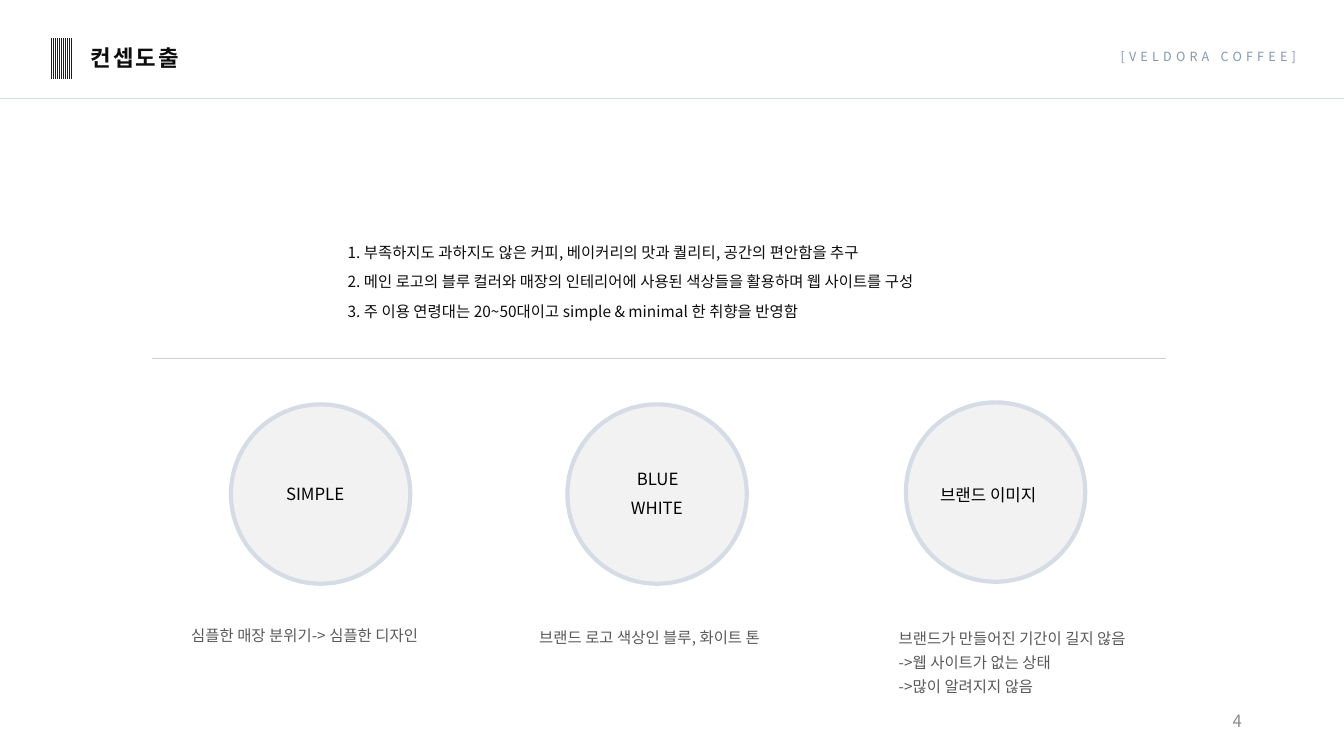
import pptx
import pptx.dml.color
import pptx.enum.dml
import pptx.enum.shapes
import pptx.enum.text
import pptx.oxml
import pptx.util

Cm = pptx.util.Cm
Pt = pptx.util.Pt
RGBColor = pptx.dml.color.RGBColor
PP_ALIGN = pptx.enum.text.PP_ALIGN
MSO_SHAPE = pptx.enum.shapes.MSO_SHAPE

WHITE = RGBColor(0xFF, 0xFF, 0xFF)
BLACK = RGBColor(0, 0, 0)
INK = RGBColor(0x0D, 0x0D, 0x0D)
GREY = RGBColor(0x59, 0x59, 0x59)
PAGE_GREY = RGBColor(0x8C, 0x8C, 0x8C)
NAVY = RGBColor(0x00, 0x20, 0x60)
BRAND_BLUE = RGBColor(0x84, 0x97, 0xB0)
PALE_BLUE = RGBColor(0xD6, 0xDC, 0xE5)
PALE_GREY = RGBColor(0xF2, 0xF2, 0xF2)
RULE_GREY = RGBColor(0xD0, 0xCE, 0xCE)

FONT = "Noto Sans CJK KR"
DIAMETER = 4.52

GOALS = (
    "1. 부족하지도 과하지도 않은 커피, 베이커리의 맛과 퀄리티, 공간의 편안함을 추구\n"
    "2. 메인 로고의 블루 컬러와 매장의 인테리어에 사용된 색상들을 활용하며 웹 사이트를 구성\n"
    "3. 주 이용 연령대는 20~50대이고 simple & minimal 한 취향을 반영함"
)
CIRCLES = [(5.82, 10.19), (14.3, 10.19), (22.83, 10.14)]
KEYWORDS = [
    ("SIMPLE", (6.96, 12.07, 2.34, 0.77)),
    ("BLUE", (15.8, 11.68, 1.65, 0.77)),
    ("WHITE", (15.65, 12.42, 2.01, 0.77)),
    ("브랜드 이미지", (23.44, 12.09, 3.38, 0.77)),
]
CAPTIONS = [
    ("심플한 매장 분위기-> 심플한 디자인", (4.57, 15.6, 7.11, 0.79), 1.14),
    ("브랜드 로고 색상인 블루, 화이트 톤", (13.34, 15.65, 6.81, 0.79), 1.14),
    ("브랜드가 만들어진 기간이 길지 않음\n->웹 사이트가 없는 상태\n->많이 알려지지 않음",
     (22.4, 15.6, 7.21, 2.01), 1.3),
]


def add_rule(slide, left, right, y, color):
    """Draw a thin horizontal line."""
    rule = slide.shapes.add_connector(
        pptx.enum.shapes.MSO_CONNECTOR.STRAIGHT, Cm(left), Cm(y), Cm(right), Cm(y))
    rule.line.color.rgb = color
    rule.line.width = Pt(0.5)
    rule._element.spPr.append(pptx.oxml.parse_xml(
        '<a:effectLst xmlns:a="http://schemas.openxmlformats.org/drawingml/2006/main"/>'))


def add_text(slide, text, box, size, color, font=FONT, align=None,
             leading=None, spacing=None, bold=None, wrap=True):
    """Add a text box with one paragraph per line of text."""
    frame = slide.shapes.add_textbox(*map(Cm, box)).text_frame
    frame.word_wrap = wrap
    frame.text = text
    for paragraph in frame.paragraphs:
        paragraph.alignment = align
        paragraph.line_spacing = leading
        for run in paragraph.runs:
            run.font.size = Pt(size)
            run.font.bold = bold
            run.font.color.rgb = color
            run.font.name = font
            properties = run._r.get_or_add_rPr()
            east_asian = properties.makeelement(pptx.oxml.ns.qn("a:ea"), {"typeface": FONT})
            properties.append(east_asian)
            if spacing:
                properties.set("spc", str(int(spacing * 100)))
    return frame


def add_circle(slide, left, top):
    """Draw one keyword circle."""
    circle = slide.shapes.add_shape(
        MSO_SHAPE.OVAL, Cm(left), Cm(top), Cm(DIAMETER), Cm(DIAMETER))
    circle.shadow.inherit = False
    circle.fill.solid()
    circle.fill.fore_color.rgb = PALE_GREY
    circle.line.color.rgb = PALE_BLUE
    circle.line.width = Pt(3)


def add_striped_mark(slide):
    """Draw the striped block beside the title."""
    mark = slide.shapes.add_shape(
        MSO_SHAPE.RECTANGLE, Cm(1.25), Cm(0.97), Cm(0.58), Cm(1.02))
    mark.shadow.inherit = False
    mark.fill.patterned()
    mark.fill.pattern = pptx.enum.dml.MSO_PATTERN.NARROW_VERTICAL
    mark.fill.fore_color.rgb = NAVY
    mark.fill.back_color.rgb = WHITE
    mark.line.fill.background()


def add_header(slide):
    """Add the title, the brand tag and the rule below them."""
    add_rule(slide, 0, 33.87, 2.47, PALE_BLUE)
    add_striped_mark(slide)
    add_text(slide, "컨셉도출", (2.03, 1.07, 3.05, 0.97), 16, INK, font="Arial",
             align=PP_ALIGN.JUSTIFY, leading=0.9, spacing=1.5, bold=True)
    add_text(slide, "[VELDORA COFFEE]", (27.99, 1.12, 5.41, 0.64), 9, BRAND_BLUE,
             spacing=3, wrap=False)


def main():
    """Build the concept slide."""
    deck = pptx.Presentation()
    deck.slide_width, deck.slide_height = Cm(33.87), Cm(19.05)
    slide = deck.slides.add_slide(deck.slide_layouts[6])

    add_header(slide)
    add_text(slide, GOALS, (8.51, 5.72, 16.92, 2.51), 11, INK, leading=1.6)
    add_rule(slide, 3.84, 29.39, 9.02, RULE_GREY)
    for left, top in CIRCLES:
        add_circle(slide, left, top)
    for keyword, box in KEYWORDS:
        add_text(slide, keyword, box, 12, BLACK, align=PP_ALIGN.JUSTIFY)
    for caption, box, leading in CAPTIONS:
        add_text(slide, caption, box, 11, GREY, leading=leading)
    page_number = add_text(slide, "4", (23.93, 17.65, 7.62, 1.02), 12, PAGE_GREY,
                           align=PP_ALIGN.RIGHT)
    page_number.vertical_anchor = pptx.enum.text.MSO_ANCHOR.MIDDLE

    deck.save("out.pptx")


if __name__ == "__main__":
    main()
